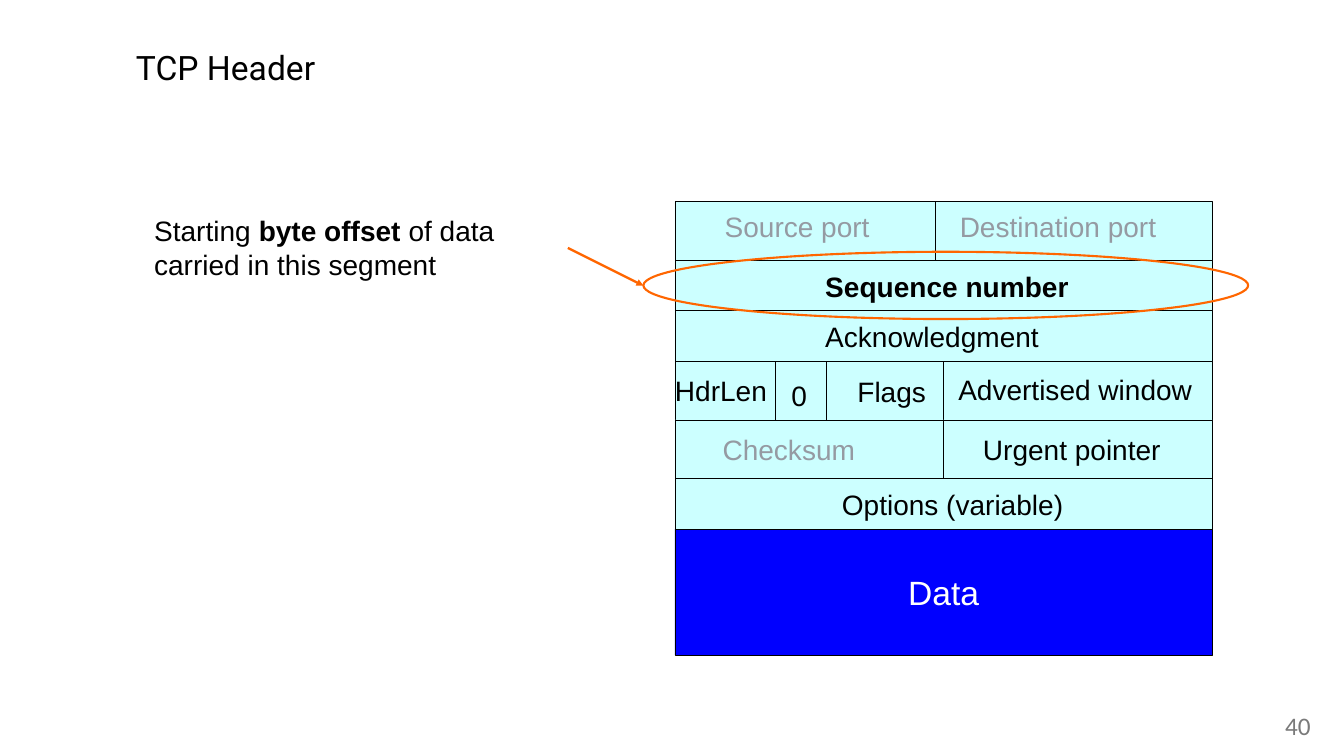
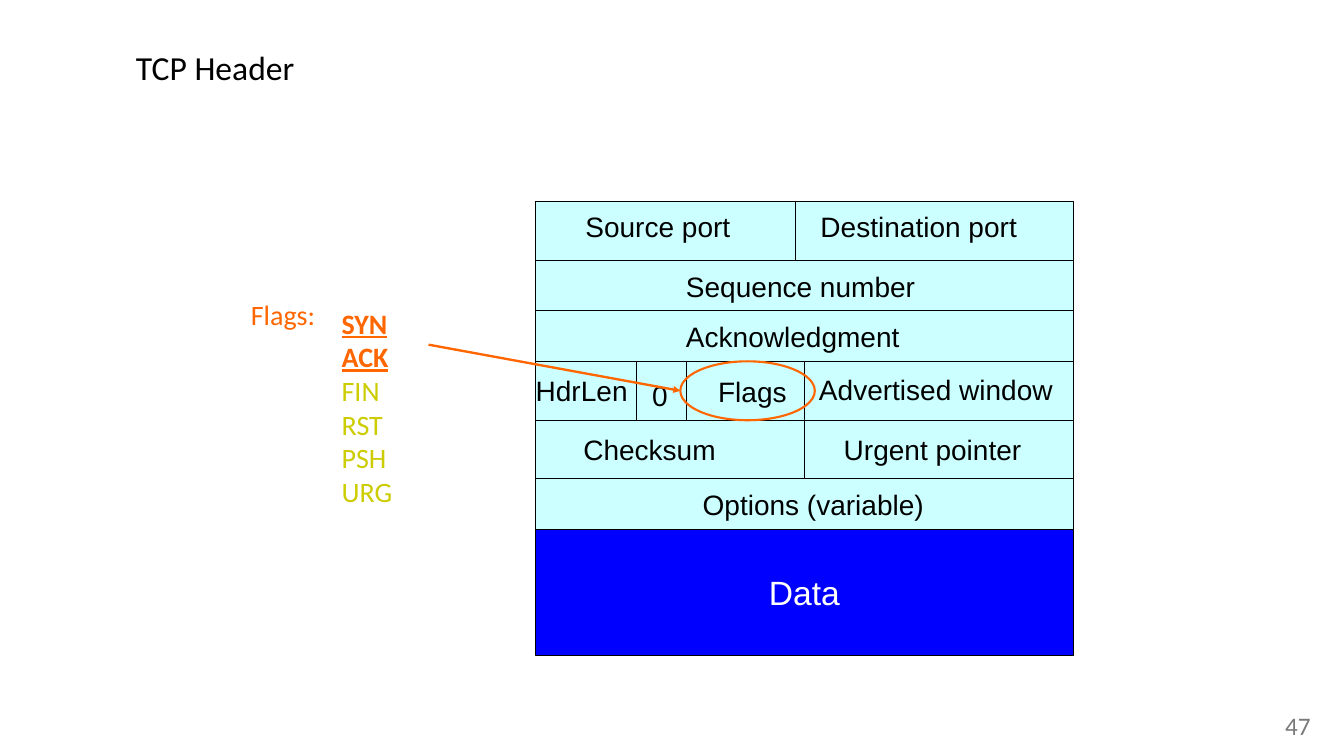
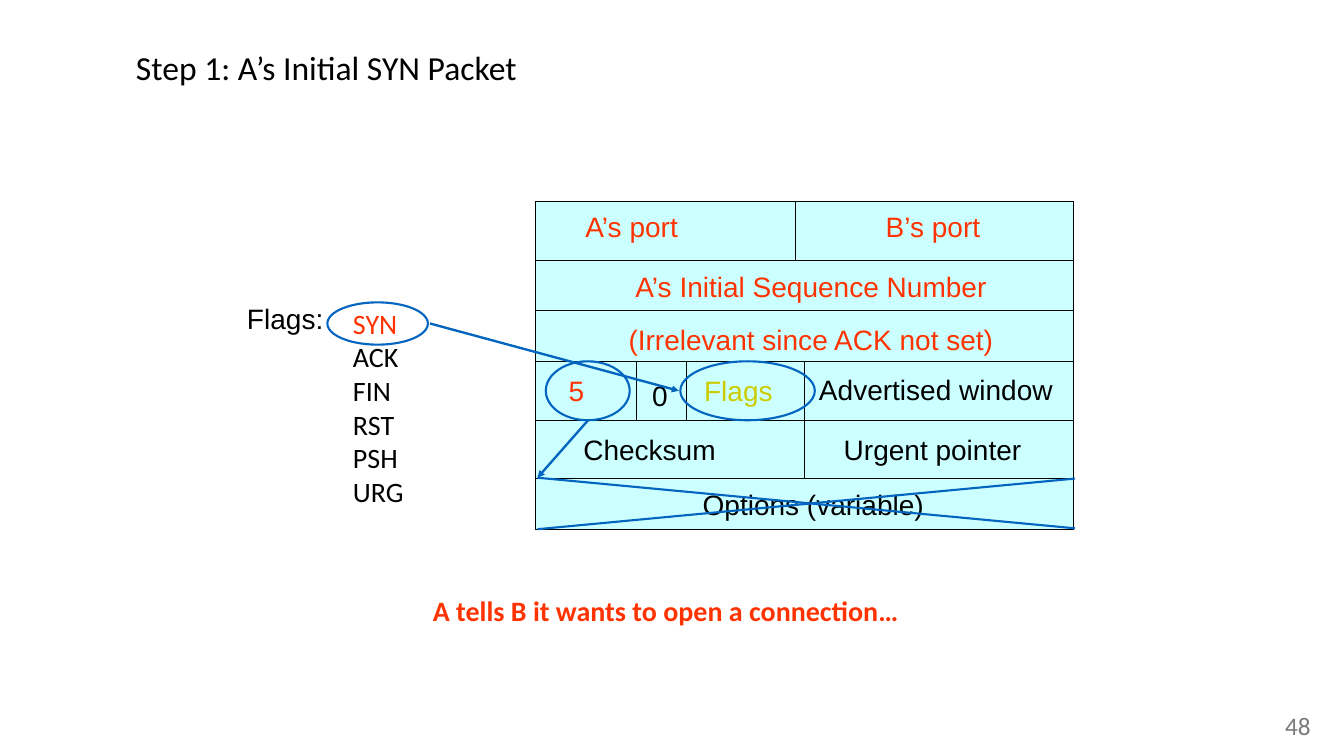
from itertools import accumulate
from lxml import etree
from pptx import Presentation
from pptx.dml.color import RGBColor
from pptx.enum.shapes import MSO_CONNECTOR as Connector, MSO_SHAPE as Shape
from pptx.enum.text import MSO_ANCHOR as Anchor, MSO_AUTO_SIZE as AutoSize, PP_ALIGN as Align
from pptx.oxml.ns import qn
from pptx.util import Cm, Pt

rgb = RGBColor.from_string
BLACK, WHITE, GREY, PAGE_GREY = "000000", "FFFFFF", "959AA2", "7A7A7A"
CYAN, BLUE, ORANGE, RED, OLIVE, MARK_BLUE = "CCFFFF", "0000FF", "FF6600", "FF3300", "CCCC00", "0365C0"
BODY, HEADING = 26.7, 32
FLAG_NAMES = "SYN\nACK\nFIN\nRST\nPSH\nURG"


def add_text(slide, box, text, color=BLACK, font="Arial", size=BODY, fill=None,
             bold=False, wrap=False, align=Align.LEFT):
    place = [Cm(length) for length in box]
    if fill:
        holder = slide.shapes.add_shape(Shape.RECTANGLE, *place)
        holder.shadow.inherit = False
        holder.fill.solid()
        holder.fill.fore_color.rgb = rgb(fill)
        holder.line.fill.background()
    else:
        holder = slide.shapes.add_textbox(*place)
    frame = holder.text_frame
    frame.text = text
    frame.word_wrap = wrap
    frame.auto_size = AutoSize.NONE if wrap else AutoSize.SHAPE_TO_FIT_TEXT
    frame.vertical_anchor = Anchor.TOP
    for paragraph in frame.paragraphs:
        paragraph.alignment = align
        for run in paragraph.runs:
            run.font.name, run.font.size, run.font.bold = font, Pt(size), bold
            run.font.color.rgb = rgb(color)
    return frame


def add_line(slide, ends, color=BLACK, width=0.75, arrow=False):
    line = slide.shapes.add_connector(Connector.STRAIGHT, *[Cm(length) for length in ends])
    line.line.color.rgb = rgb(color)
    line.line.width = Pt(width)
    if arrow:
        etree.SubElement(line.line._get_or_add_ln(), qn("a:tailEnd"), type="triangle")
    etree.SubElement(line._element.spPr, qn("a:effectLst"))


HEADER_WIDTH, HEADER_TOP = 18.06, 6.77
ROW_HEIGHTS = [1.98, 1.69, 1.69, 1.98, 1.98, 1.69]
ROW_SPLITS = [8.74, None, None, 9.03, 9.03, None]
ROW_TOPS = list(accumulate(ROW_HEIGHTS, initial=HEADER_TOP))
LENGTH_ROW = 3
DIVIDERS = [3.38, 5.08]
DATA_HEIGHT = 4.23

# field: row, x from header edge, y from row top, width, text, color
FIELDS = {
    "source": (0, 1.42, 0.16, 5.44, "Source port", BLACK),
    "destination": (0, 9.32, 0.16, 7.16, "Destination port", BLACK),
    "sequence": (1, 4.8, 0.17, 8.28, "Sequence number", BLACK),
    "acknowledgment": (2, 4.8, 0.17, 7.75, "Acknowledgment", BLACK),
    "window": (3, 9.27, 0.25, 8.43, "Advertised window", BLACK),
    "length": (3, -0.25, 0.28, 3.96, "HdrLen", BLACK),
    "flags": (3, 5.88, 0.33, 2.84, "Flags", BLACK),
    "zero": (3, 3.66, 0.46, 1.04, "0", BLACK),
    "checksum": (4, 1.35, 0.3, 5, "Checksum", BLACK),
    "urgent": (4, 10.1, 0.3, 6.53, "Urgent pointer", BLACK),
    "options": (5, 5.36, 0.17, 8.03, "Options (variable)", BLACK),
}
OFFSET_FIELDS = {
    "source": (0, 1.42, 0.16, 5.44, "Source port", GREY),
    "destination": (0, 9.32, 0.16, 7.16, "Destination port", GREY),
    "sequence": (1, 4.8, 0.17, 8.74, "Sequence number", BLACK),
    "checksum": (4, 1.35, 0.3, 5, "Checksum", GREY),
}
SYN_FIELDS = {
    "source": (0, 1.42, 0.16, 3.71, "A’s port", RED),
    "destination": (0, 11.51, 0.16, 3.71, "B’s port", RED),
    "sequence": (1, 3.1, 0.17, 12.78, "A’s Initial Sequence Number", RED),
    "acknowledgment": (2, 2.87, 0.28, 12.88, "(Irrelevant since ACK not set)", RED),
    "length": (3, 0.86, 0.28, 3.96, "5", RED),
    "flags": (3, 5.41, 0.28, 2.84, "Flags", OLIVE),
}
FLAGS_RING = (22.86, 12.14, 4.52, 1.98)

PAGES = [
    dict(title="TCP Header", font="Roboto", number="40", left=22.68, changes=OFFSET_FIELDS,
         bold_field="sequence", has_data=True, mark=ORANGE,
         rings=[(21.62, 8.46, 20.32, 2.26)],
         arrows=[(19.08, 8.33, 21.62, 9.6)], strikes=[]),
    dict(title="TCP Header", font="Calibri", number="47", left=18, changes={},
         bold_field=None, has_data=True, mark=ORANGE,
         rings=[FLAGS_RING],
         arrows=[(14.4, 11.58, 22.86, 13.13)], strikes=[]),
    dict(title="Step 1: A’s Initial SYN Packet", font="Calibri", number="48", left=18,
         changes=SYN_FIELDS, bold_field=None, has_data=False, mark=MARK_BLUE,
         rings=[FLAGS_RING, (11, 10.16, 3.38, 1.42), (18.34, 12.14, 2.82, 1.98)],
         arrows=[(14.45, 10.87, 22.81, 13.13), (19.76, 14.12, 18.06, 16.05)],
         strikes=[(18.06, 16.05, 36.12, 17.75), (18.06, 17.78, 36.12, 16.08)]),
]

deck = Presentation()
deck.slide_width, deck.slide_height = Cm(45.16), Cm(25.4)
slides = []

for page in PAGES:
    slide = deck.slides.add_slide(deck.slide_layouts[6])
    slides.append(slide)
    left = page["left"]

    title = add_text(slide, (4.42, 0, 36.35, 4.52), page["title"], font=page["font"],
                     size=HEADING, wrap=True)
    title.vertical_anchor = Anchor.MIDDLE
    title.margin_left = title.margin_right = title.margin_top = title.margin_bottom = Cm(0.15)

    cells = []
    for top, height, split in zip(ROW_TOPS, ROW_HEIGHTS, ROW_SPLITS):
        edges = [0, split, HEADER_WIDTH] if split else [0, HEADER_WIDTH]
        for start, end in zip(edges, edges[1:]):
            cells.append((left + start, top, end - start, height, CYAN))
    if page["has_data"]:
        cells.append((left, ROW_TOPS[-1], HEADER_WIDTH, DATA_HEIGHT, BLUE))
    for *box, fill in cells:
        cell = slide.shapes.add_shape(Shape.RECTANGLE, *[Cm(length) for length in box])
        cell.shadow.inherit = False
        cell.fill.solid()
        cell.fill.fore_color.rgb = rgb(fill)
        cell.line.color.rgb = rgb(BLACK)
        cell.line.width = Pt(0.75)
    if page["has_data"]:
        data = cell.text_frame
        data.text = "Data"
        data.vertical_anchor = Anchor.MIDDLE
        data.paragraphs[0].alignment = Align.CENTER
        data_font = data.paragraphs[0].runs[0].font
        data_font.name, data_font.size = "Arial", Pt(HEADING)
        data_font.color.rgb = rgb(WHITE)

    for field, (row, x, y, width, text, color) in (FIELDS | page["changes"]).items():
        is_length = field == "length"
        add_text(slide, (left + x, ROW_TOPS[row] + y, width, 1.4), text, color,
                 fill=None if is_length else CYAN, wrap=is_length,
                 bold=field == page["bold_field"])
    for x in DIVIDERS:
        add_line(slide, (left + x, ROW_TOPS[LENGTH_ROW], left + x, ROW_TOPS[LENGTH_ROW + 1]))

    number = add_text(slide, (43.03, 23.85, 1.17, 1.27), page["number"], PAGE_GREY, "Calibri",
                      24, align=Align.CENTER)
    number.margin_left = number.margin_right = number.margin_top = number.margin_bottom = 0

    for box in page["rings"]:
        ring = slide.shapes.add_shape(Shape.OVAL, *[Cm(length) for length in box])
        ring.shadow.inherit = False
        ring.fill.background()
        ring.line.color.rgb = rgb(page["mark"])
        ring.line.width = Pt(2)
    for ends in page["strikes"]:
        add_line(slide, ends, page["mark"], 2)
    for ends in page["arrows"]:
        add_line(slide, ends, page["mark"], 2.25, arrow=True)

offset_slide, flags_slide, syn_slide = slides

note = add_text(offset_slide, (4.93, 7.06, 14.15, 2.54), "", wrap=True)
for phrase, bold in [("Starting ", False), ("byte offset ", True),
                     ("of data carried in this segment", False)]:
    run = note.paragraphs[0].add_run()
    run.text = phrase
    run.font.name, run.font.size, run.font.bold = "Arial", Pt(BODY), bold
    run.font.color.rgb = rgb(BLACK)

add_text(flags_slide, (8.18, 9.88, 2.69, 1.4), "Flags:", ORANGE, "Calibri")
flag_list = add_text(flags_slide, (11.23, 10.16, 2.24, 7.09), FLAG_NAMES, OLIVE, "Calibri")
for paragraph in flag_list.paragraphs[:2]:
    flag_font = paragraph.runs[0].font
    flag_font.bold = flag_font.underline = True
    flag_font.color.rgb = rgb(ORANGE)

add_text(syn_slide, (8.05, 10.01, 3.1, 1.4), "Flags:")
syn_list = add_text(syn_slide, (11.61, 10.16, 2.24, 7.09), FLAG_NAMES, font="Calibri")
syn_list.paragraphs[0].runs[0].font.color.rgb = rgb(RED)
add_text(syn_slide, (14.25, 19.81, 16.26, 1.4), "A tells B it wants to open a connection…",
         RED, "Calibri", bold=True, align=Align.CENTER)

deck.save("out.pptx")
